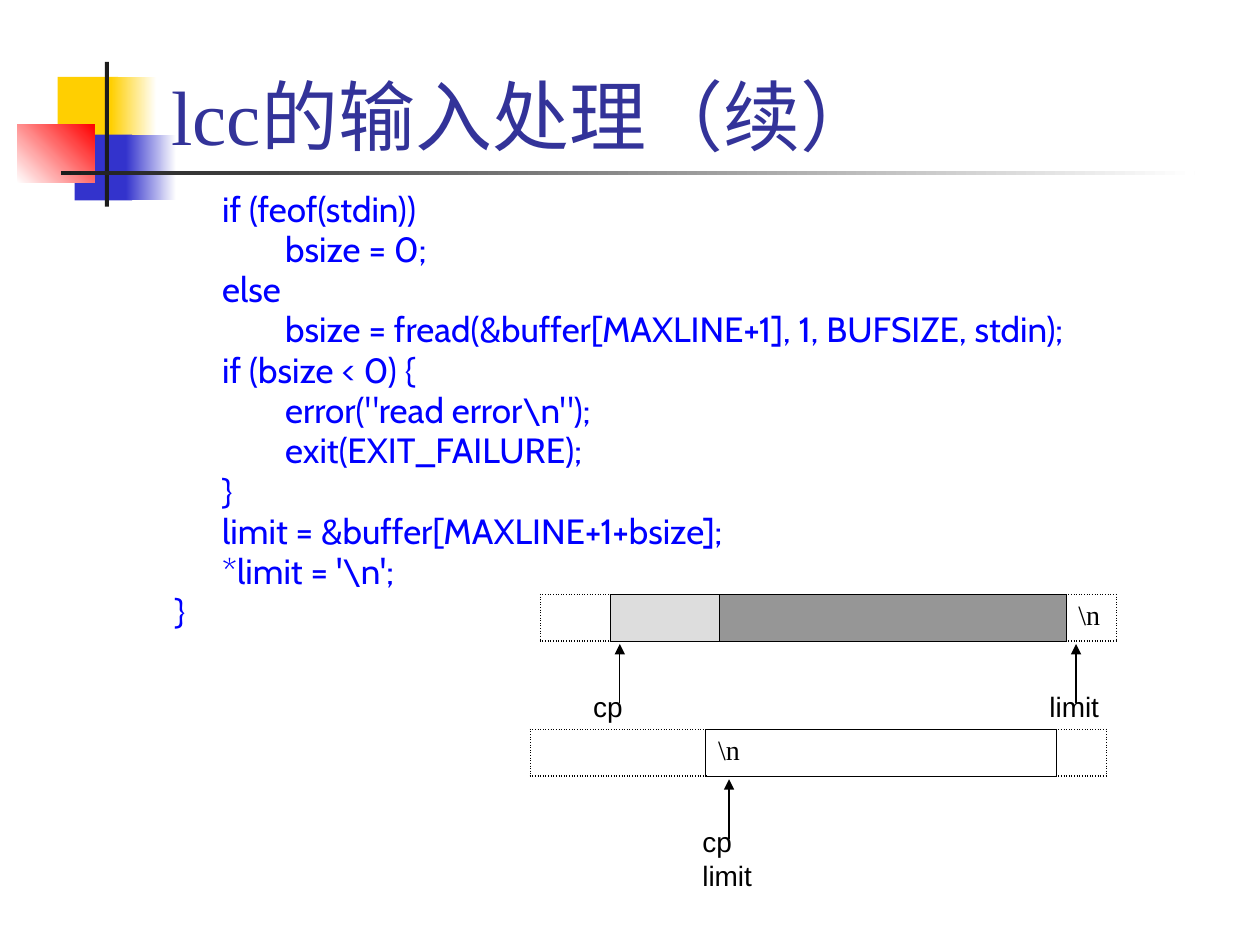
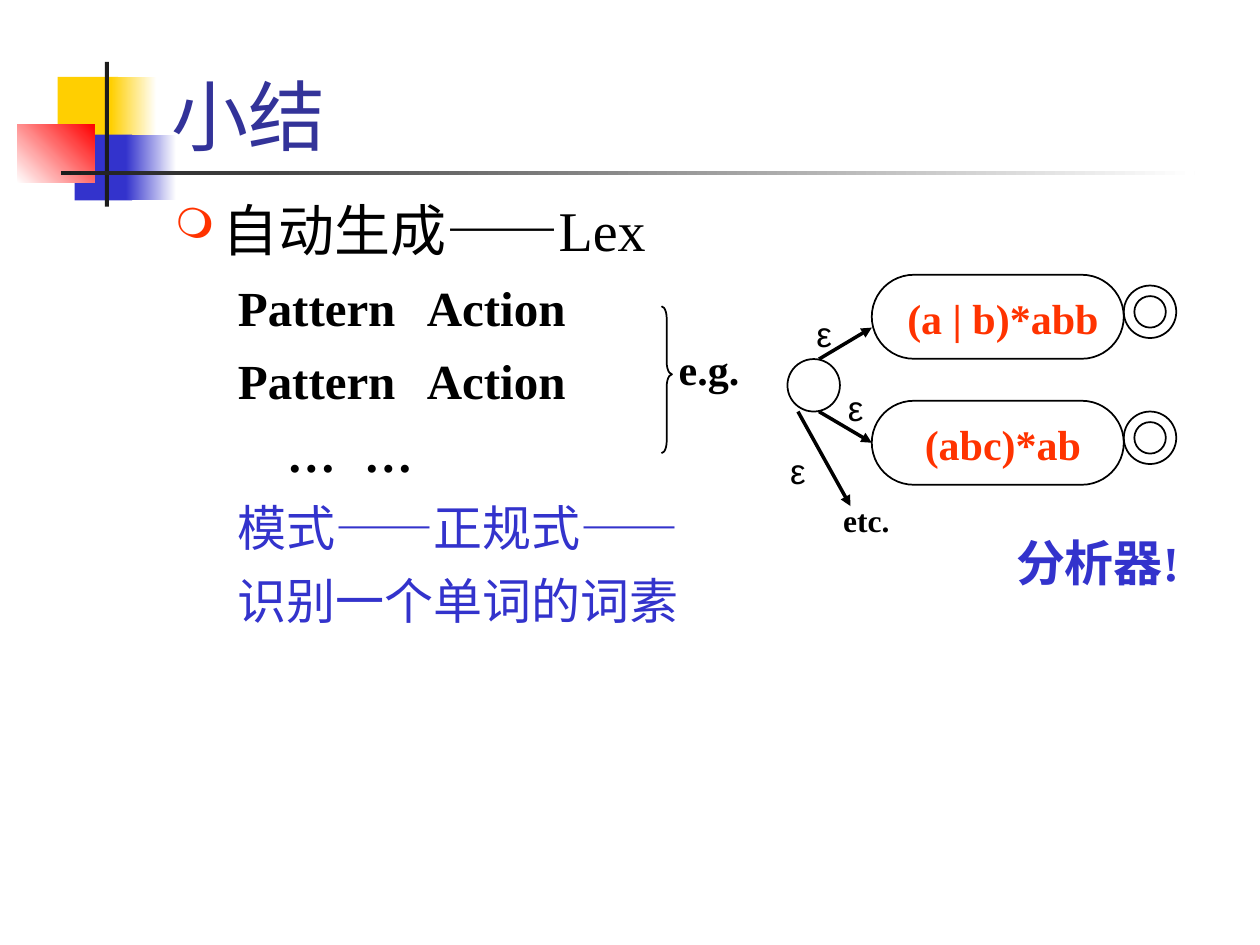
from lxml import etree
from pptx import Presentation
from pptx.dml.color import RGBColor
from pptx.enum.shapes import MSO_CONNECTOR, MSO_SHAPE
from pptx.enum.text import MSO_ANCHOR, MSO_AUTO_SIZE, PP_ALIGN
from pptx.oxml.ns import qn
from pptx.util import Pt

RECT, OVAL = MSO_SHAPE.RECTANGLE, MSO_SHAPE.OVAL
ROUNDED, BRACE = MSO_SHAPE.ROUNDED_RECTANGLE, MSO_SHAPE.RIGHT_BRACE
STRAIGHT = MSO_CONNECTOR.STRAIGHT
LEFT, CENTER = PP_ALIGN.LEFT, PP_ALIGN.CENTER
BOTTOM, NO_AUTOFIT = MSO_ANCHOR.BOTTOM, MSO_AUTO_SIZE.NONE

SERIF, SANS, CODE_FONT = "Times New Roman", "Arial", "Cabin"
COLORS = {
    "black": "000000", "white": "FFFFFF", "ink": "1C1C1C",
    "yellow": "FFCF01", "blue": "3333CC", "red": "FF0000",
    "title": "333399", "code": "0000FF", "accent": "FF3300",
    "unread": "DDDDDD", "refill": "969696",
}
TABLE_ROW = 26.64

CODE = r"""	if (feof(stdin))
		bsize = 0;
	else
		bsize = fread(&buffer[MAXLINE+1], 1, BUFSIZE, stdin);
	if (bsize < 0) {
		error("read error\n");
		exit(EXIT_FAILURE);
	}
	limit = &buffer[MAXLINE+1+bsize];
	*limit = '\n';
}"""


def rgb(name):
    return RGBColor.from_string(COLORS[name])


def points(*lengths):
    return [Pt(length) for length in lengths]


def style(paragraph, size, font=SERIF, color="black", bold=False, align=LEFT):
    paragraph.alignment = align
    paragraph.font.size = Pt(size)
    paragraph.font.name = font
    paragraph.font.bold = bold
    paragraph.font.color.rgb = rgb(color)


def indent(paragraph, margin, first_line, tab=None, bullet=None):
    props = paragraph._p.get_or_add_pPr()
    props.set("marL", str(Pt(margin)))
    props.set("indent", str(Pt(first_line)))
    if bullet:
        color = etree.SubElement(props, qn("a:buClr"))
        etree.SubElement(color, qn("a:srgbClr"), val=COLORS["accent"])
        etree.SubElement(props, qn("a:buSzPct"), val="75000")
        etree.SubElement(props, qn("a:buChar"), char=bullet)
    else:
        etree.SubElement(props, qn("a:buNone"))
    if tab:
        tabs = etree.SubElement(props, qn("a:tabLst"))
        etree.SubElement(tabs, qn("a:tab"), pos=str(Pt(tab)), algn="l")


def add_frame(slide, box):
    frame = slide.shapes.add_textbox(*points(*box)).text_frame
    frame.word_wrap = True
    return frame


def next_paragraph(frame, index, text):
    paragraph = frame.add_paragraph() if index else frame.paragraphs[0]
    paragraph.text = text
    return paragraph


def add_label(slide, text, box, size, **look):
    style(next_paragraph(add_frame(slide, box), 0, text), size, **look)


def add_band(slide, box, color, fade_to=None, angle=0):
    band = slide.shapes.add_shape(RECT, *points(*box))
    band.shadow.inherit = False
    band.line.fill.background()
    if fade_to:
        band.fill.gradient()
        band.fill.gradient_angle = angle
        for stop, name in zip(band.fill.gradient_stops, (color, fade_to)):
            stop.color.rgb = rgb(name)
    else:
        band.fill.solid()
        band.fill.fore_color.rgb = rgb(color)


def add_outline(slide, kind, box, adjustments=()):
    outline = slide.shapes.add_shape(kind, *points(*box))
    outline.shadow.inherit = False
    outline.fill.background()
    outline.line.color.rgb = rgb("black")
    outline.line.width = Pt(1)
    for index, value in enumerate(adjustments):
        outline.adjustments[index] = value
    return outline


def add_arrow(slide, start, end, width):
    arrow = slide.shapes.add_connector(STRAIGHT, *points(*start, *end))
    arrow.line.color.rgb = rgb("black")
    arrow.line.width = Pt(width)
    line = arrow.line._get_or_add_ln()
    etree.SubElement(line, qn("a:tailEnd"), type="triangle")
    etree.SubElement(arrow._element.spPr, qn("a:effectLst"))
    return arrow


def add_titled_slide(deck, title_text):
    slide = deck.slides.add_slide(deck.slide_layouts[5])
    # Corner blocks and rules
    add_band(slide, (33, 44, 34.5, 37.5), "yellow")
    add_band(slide, (63.4, 44, 26, 37.5), "yellow", "white")
    add_band(slide, (42.6, 77, 33, 37.5), "blue")
    add_band(slide, (72, 77, 28.8, 37.5), "blue", "white")
    add_band(slide, (9.8, 71, 44.2, 33.5), "white", "red", angle=45)
    add_band(slide, (60, 35.3, 2.2, 82.8), "ink")
    add_band(slide, (34.7, 97.7, 648, 2.3), "ink", "white")
    # Title, in front of the blocks
    title = slide.shapes.title
    title.left, title.top, title.width, title.height = points(90.7, 5.8, 613.4, 90)
    title.text_frame.auto_size = NO_AUTOFIT
    title.text_frame.vertical_anchor = BOTTOM
    style(next_paragraph(title.text_frame, 0, title_text), 44, color="title")
    title._element.getparent().append(title._element)
    return slide


def set_border(cell, side, dotted):
    width = Pt(1 if dotted else 0.25)
    line = etree.SubElement(cell._tc.get_or_add_tcPr(), qn(f"a:ln{side}"), w=str(width))
    fill = etree.SubElement(line, qn("a:solidFill"))
    etree.SubElement(fill, qn("a:srgbClr"), val=COLORS["black"])
    etree.SubElement(line, qn("a:prstDash"), val="sysDot" if dotted else "solid")


def add_buffer(slide, left, top, cells):
    """Draw one buffer row; cells are (width, fill, text), dotted at both ends."""
    table = slide.shapes.add_table(
        1, len(cells), *points(left, top, sum(c[0] for c in cells), TABLE_ROW)).table
    table.first_row = table.horz_banding = False
    table.rows[0].height = Pt(TABLE_ROW)
    last = len(cells) - 1
    for index, (width, fill, text) in enumerate(cells):
        table.columns[index].width = Pt(width)
        cell = table.cell(0, index)
        for side in "LRTB":
            inner = (index == 0 and side == "R") or (index == last and side == "L")
            set_border(cell, side, index in (0, last) and not inner)
        if fill:
            cell.fill.solid()
            cell.fill.fore_color.rgb = rgb(fill)
        else:
            cell.fill.background()
        if text:
            cell.text = text
        else:
            cell.margin_top = cell.margin_bottom = 0
        style(cell.text_frame.paragraphs[0], 16)


def add_pointer(slide, x, top, text, width, height=26.6):
    add_label(slide, text, (x - 22.3, top + 22.3, width, height), 16, font=SANS)
    add_arrow(slide, (x, top + 34), (x, top), 0.75)


def build_input_slide(deck):
    slide = add_titled_slide(deck, "lcc的输入处理（续）")
    # Refill code
    frame = add_frame(slide, (92.9, 108, 612, 372))
    for index, line in enumerate(CODE.split("\n")):
        paragraph = next_paragraph(frame, index, line)
        indent(paragraph, 27, -27)
        paragraph.line_spacing = 0.8
        if index:
            paragraph.space_before = Pt(3.8)
        style(paragraph, 20, CODE_FONT, "code")
    # Buffer with data after the refill
    add_buffer(slide, 308.9, 339.8, [
        (39.6, None, ""), (62.6, "unread", ""), (198, "refill", ""), (28.8, None, r"\n")])
    add_pointer(slide, 354.2, 368, "cp", 39.6)
    add_pointer(slide, 614.9, 368, "limit", 67.7)
    # Empty buffer at the end of the file
    add_buffer(slide, 303.1, 416.9, [
        (100.1, None, ""), (200.2, None, r"\n"), (28.8, None, "")])
    add_pointer(slide, 416.6, 445.3, "cp\nlimit", 62.6, 46)


def build_summary_slide(deck):
    slide = add_titled_slide(deck, "小结")
    # Outline text
    frame = add_frame(slide, (92.9, 108, 612, 432))
    heading = next_paragraph(frame, 0, "自动生成——Lex")
    indent(heading, 27, -27, bullet="❍")
    style(heading, 32)
    rules = [
        ("Pattern\tAction", 36, 174, "black"),
        ("Pattern\tAction", 36, 174, "black"),
        ("…\t…", 64, 198, "black"),
        ("模式——正规式——", 36, None, "blue"),
        ("识别一个单词的词素", 36, None, "blue"),
    ]
    for index, (text, start, tab, color) in enumerate(rules, 1):
        paragraph = next_paragraph(frame, index, text)
        indent(paragraph, 0, start, tab)
        paragraph.line_spacing = 0.8
        paragraph.space_before = Pt(15)
        style(paragraph, 28, color=color, bold=color == "black")
    add_outline(slide, BRACE, (378, 175, 6, 84), (1.167, 0.463))
    add_label(slide, "e.g.", (372.2, 193, 66, 36), 24, bold=True, align=CENTER)

    # One automaton per pattern, each with a double-ringed final state
    add_outline(slide, OVAL, (450, 205.2, 30, 30))
    automata = []
    for index, pattern in enumerate(("(a | b)*abb", "(abc)*ab")):
        top = 157 + 72 * index
        automata.append(add_outline(slide, ROUNDED, (498.2, top, 144, 48), (0.5,)))
        add_outline(slide, OVAL, (642.2, top + 6.2, 30, 30))
        add_outline(slide, OVAL, (648.2, top + 12.2, 18, 18))
        add_label(slide, pattern, (504, top + 6.4, 138.2, 36), 24,
                  color="accent", bold=True, align=CENTER)

    # Empty moves out of the start state
    add_arrow(slide, (468, 205.2), (498.2, 187.2), 2)
    add_arrow(slide, (468, 235.2), (498.2, 253), 2).end_connect(automata[1], 1)
    add_arrow(slide, (456, 235.2), (486, 289.2), 2)
    for left, top, width in ((450, 175, 42), (468, 217.4, 42), (438, 253.4, 36)):
        add_label(slide, "ε", (left, top, width, 31), 20, font=SANS, align=CENTER)
    add_label(slide, "etc.", (450, 283, 90, 28.8), 18, bold=True, align=CENTER)
    add_label(slide, "分析器!", (552.2, 301, 150, 41), 28,
              color="blue", bold=True, align=CENTER)


def main():
    deck = Presentation()
    deck.slide_width, deck.slide_height = points(720, 540)
    build_input_slide(deck)
    build_summary_slide(deck)
    deck.save("out.pptx")


if __name__ == "__main__":
    main()
